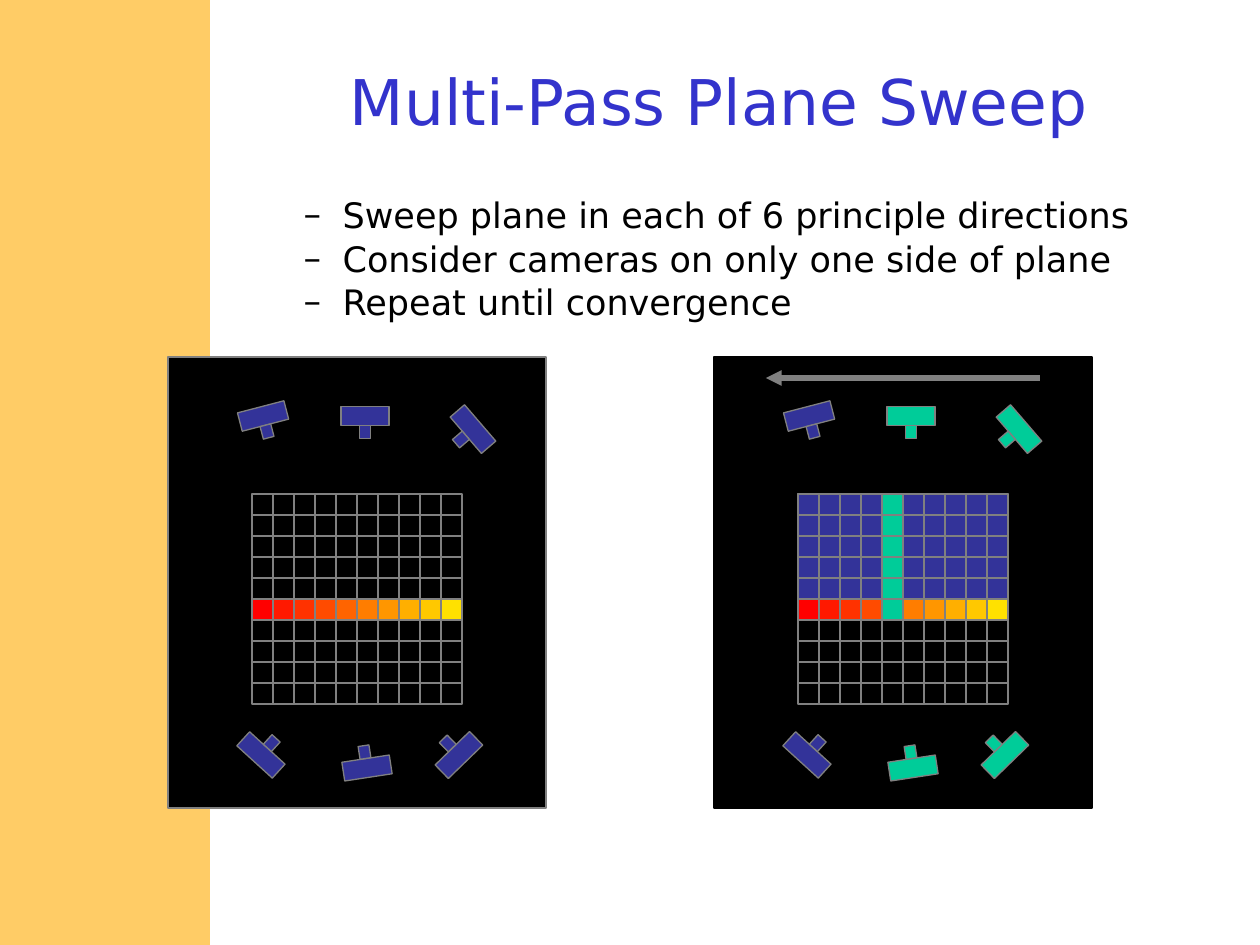
from dataclasses import dataclass
from math import cos, radians, sin

from lxml import etree
from pptx import Presentation
from pptx.dml.color import RGBColor
from pptx.enum.shapes import MSO_CONNECTOR, MSO_SHAPE
from pptx.enum.text import MSO_ANCHOR, MSO_AUTO_SIZE, PP_ALIGN
from pptx.oxml.ns import qn
from pptx.util import Emu, Pt

RECT = MSO_SHAPE.RECTANGLE
LINE = MSO_CONNECTOR.STRAIGHT
TOP, MIDDLE = MSO_ANCHOR.TOP, MSO_ANCHOR.MIDDLE
LEFT, CENTER = PP_ALIGN.LEFT, PP_ALIGN.CENTER
NO_FIT = MSO_AUTO_SIZE.NONE

SCALE = 914400 / 126  # EMU in one px


@dataclass(frozen=True)
class Theme:
    font: str = "DejaVu Sans"
    title_size: int = 36
    body_size: int = 20
    title: str = "3333CC"
    ink: str = "000000"
    band: str = "FFCC66"
    line: str = "808080"
    blue: str = "333399"
    green: str = "00CC99"
    thin: float = 0.75
    edge: float = 1
    bold: float = 3


THEME = Theme()

# Grid: place within its panel, cell size and count
GRID_X, GRID_Y, CELL, COUNT = 84, 137, 21, 10
SPAN = CELL * COUNT
SLICE_ROW, SWEEP_COL = 5, 4

# Cameras: center within the panel, angle, on the used side of the plane
CAMERAS = [
    (93, 398, 42.4, False),
    (291, 398, 315.8, True),
    (305, 72, 229.3, True),
    (197, 59, 180, True),
    (95, 59, 165.4, False),
    (199, 411, 351.3, True),
]

POINTS = [
    "Sweep plane in each of 6 principle directions",
    "Consider cameras on only one side of plane",
    "Repeat until convergence",
]


def px(value):
    return Emu(round(value * SCALE))


def color(code):
    return RGBColor.from_string(code)


def add_rect(shapes, x, y, w, h, fill=None, line=None, width=THEME.thin, angle=0):
    rect = shapes.add_shape(RECT, px(x), px(y), px(w), px(h))
    rect.shadow.inherit = False
    rect.rotation = angle
    if fill:
        rect.fill.solid()
        rect.fill.fore_color.rgb = color(fill)
    else:
        rect.fill.background()
    if line:
        rect.line.color.rgb = color(line)
        rect.line.width = Pt(width)
    else:
        rect.line.fill.background()


def add_line(shapes, x1, y1, x2, y2, width=THEME.thin, arrow=False):
    link = shapes.add_connector(LINE, px(x1), px(y1), px(x2), px(y2))
    link.line.color.rgb = color(THEME.line)
    link.line.width = Pt(width)
    if arrow:
        etree.SubElement(link.line._get_or_add_ln(), qn("a:tailEnd"), type="triangle")
    etree.SubElement(link._element.spPr, qn("a:effectLst"))


def add_dash(para):
    props = para._p.get_or_add_pPr()
    props.set("marL", str(px(102)))
    props.set("indent", str(px(-39)))
    etree.SubElement(props, qn("a:buFont"), typeface=THEME.font)
    etree.SubElement(props, qn("a:buChar"), char="–")


def put_text(holder, lines, box, size, ink, align=LEFT, anchor=TOP,
             inset=6, after=0, dash=False):
    holder.left, holder.top, holder.width, holder.height = map(px, box)
    frame = holder.text_frame
    frame.word_wrap = True
    frame.auto_size = NO_FIT
    frame.vertical_anchor = anchor
    frame.margin_top = px(inset)
    frame.text = "\n".join(lines)
    for para in frame.paragraphs:
        if dash:
            para.level = 1
            add_dash(para)
        para.alignment = align
        para.space_before = Pt(0)
        para.space_after = Pt(after)
        for run in para.runs:
            run.font.name = THEME.font
            run.font.size = Pt(size)
            run.font.color.rgb = color(ink)


def add_camera(slide, x, y, angle, fill):
    shapes = slide.shapes.add_group_shape().shapes
    turn = radians(angle)
    # The lens sits 16 px from the body center, along the view angle
    lens = (x + 16 * sin(turn), y - 16 * cos(turn), 11, 13)
    for mid_x, mid_y, w, h in [(x, y, 48, 19), lens]:
        add_rect(shapes, mid_x - w / 2, mid_y - h / 2, w, h, fill,
                 THEME.line, angle=angle)


def add_grid(slide, x, y):
    add_rect(slide.shapes, x, y, SPAN, SPAN, line=THEME.line)
    cols = slide.shapes.add_group_shape().shapes
    rows = slide.shapes.add_group_shape().shapes
    for step in range(CELL, SPAN, CELL):
        add_line(cols, x + step, y, x + step, y + SPAN)
        add_line(rows, x, y + step, x + SPAN, y + step)


def add_cell(slide, x, y, col, row, fill):
    add_rect(slide.shapes, x + col * CELL, y + row * CELL, CELL, CELL,
             fill, THEME.line, THEME.edge)


def add_panel(slide, x, y, sweep=False):
    edge = THEME.ink if sweep else THEME.line
    add_rect(slide.shapes, x, y, 378, 451, THEME.ink, edge, THEME.edge)
    for cam_x, cam_y, angle, used in CAMERAS:
        fill = THEME.green if sweep and used else THEME.blue
        add_camera(slide, x + cam_x, y + cam_y, angle, fill)
    left, top = x + GRID_X, y + GRID_Y
    add_grid(slide, left, top)

    # Colored cells: a red to yellow slice, and the sweep plane above it
    first = 0 if sweep else SLICE_ROW
    for row in range(first, SLICE_ROW + 1):
        for col in range(COUNT):
            fill = f"FF{25 * col:02X}00" if row == SLICE_ROW else THEME.blue
            if sweep and col == SWEEP_COL:
                fill = THEME.green
            add_cell(slide, left, top, col, row, fill)
    if sweep:
        add_line(slide.shapes, x + 326, y + 21, x + 52, y + 21, THEME.bold, arrow=True)


def main():
    deck = Presentation()
    deck.slide_width, deck.slide_height = px(1260), px(945)
    slide = deck.slides.add_slide(deck.slide_layouts[1])

    # Side band
    add_rect(slide.shapes, 0, 0, 210, 945, THEME.band)

    # Title and list
    title, body = slide.placeholders
    put_text(title, ["Multi-Pass Plane Sweep"], (210, 53, 1018, 95),
             THEME.title_size, THEME.title, align=CENTER, anchor=MIDDLE)
    put_text(body, POINTS, (228, 185, 987, 98), THEME.body_size, THEME.ink,
             inset=9, after=0.7, dash=True)

    # Scene before and during the sweep
    add_panel(slide, 168, 357)
    add_panel(slide, 714, 357, sweep=True)

    deck.save("out.pptx")


if __name__ == "__main__":
    main()
